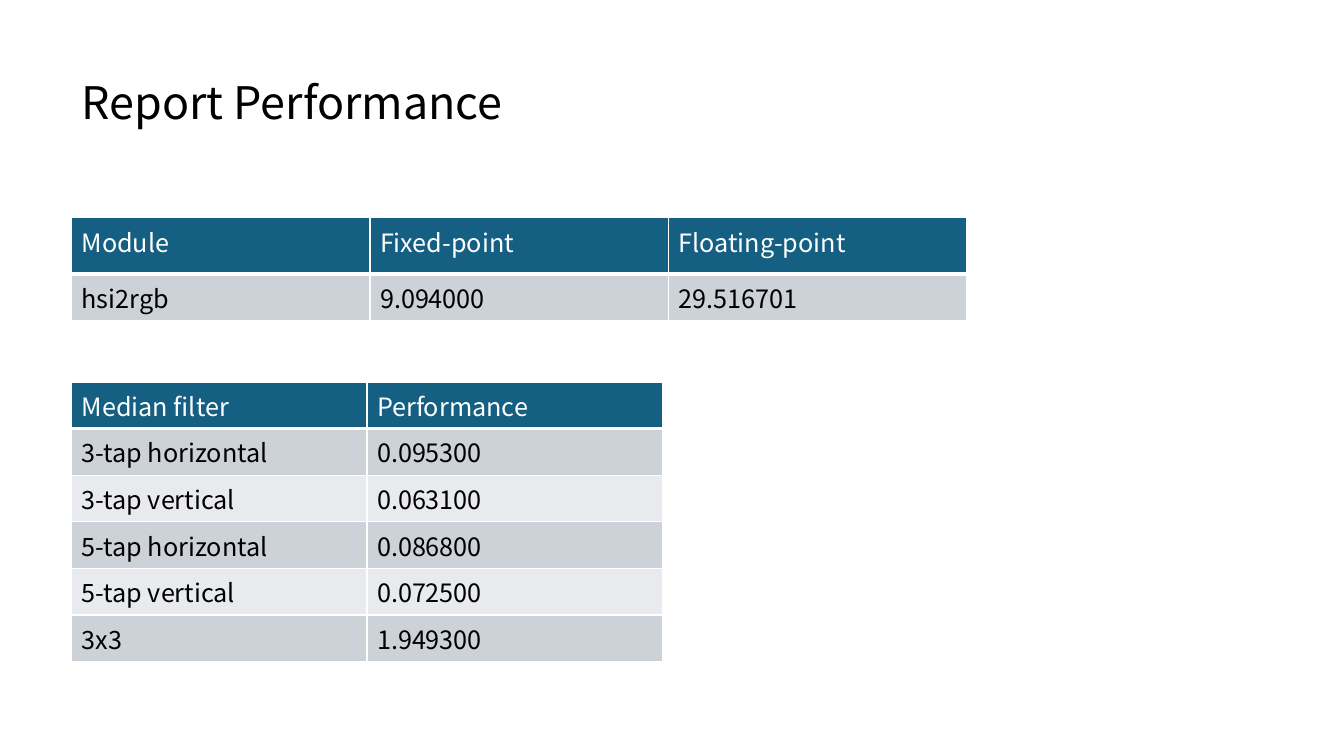
"""Build the Report Performance slide with two result tables."""
from lxml import etree
from pptx import Presentation
from pptx.dml.color import RGBColor
from pptx.enum import text
from pptx.oxml import ns
from pptx.util import Inches, Pt

TITLE = "Report Performance"
MODULE_ROWS = [
    ("Module", "Fixed-point", "Floating-point"),
    ("hsi2rgb", "9.094000", "29.516701"),
]
FILTER_ROWS = [
    ("Median filter", "Performance"),
    ("3-tap horizontal", "0.095300"),
    ("3-tap vertical", "0.063100"),
    ("5-tap horizontal", "0.086800"),
    ("5-tap vertical", "0.072500"),
    ("3x3", "1.949300"),
]

FONT = "Noto Sans CJK KR"
BLACK = RGBColor(0x00, 0x00, 0x00)
WHITE = RGBColor(0xFF, 0xFF, 0xFF)
HEADER_BLUE = RGBColor(0x15, 0x60, 0x82)
BAND_DARK = RGBColor(0xCC, 0xD2, 0xD8)
BAND_LIGHT = RGBColor(0xE8, 0xEA, 0xED)
LEFT = 0.71
ROW_HEIGHT = 0.41


def style_text(text_frame, size, color):
    """Format every run of a text frame."""
    for paragraph in text_frame.paragraphs:
        for run in paragraph.runs:
            run.font.name = FONT
            run.font.size = Pt(size)
            run.font.color.rgb = color
            east_asian = etree.SubElement(run._r.get_or_add_rPr(), ns.qn("a:ea"))
            east_asian.set("typeface", FONT)


def add_borders(cell, bottom_width):
    """Draw white borders around a table cell."""
    properties = cell._tc.get_or_add_tcPr()
    widths = {"L": 1, "R": 1, "T": 1, "B": bottom_width}
    for position, (side, width) in enumerate(widths.items()):
        line = etree.Element(ns.qn(f"a:ln{side}"), w=str(Pt(width)))
        fill = etree.SubElement(line, ns.qn("a:solidFill"))
        etree.SubElement(fill, ns.qn("a:srgbClr"), val=str(WHITE))
        properties.insert(position, line)


def add_result_table(slide, rows, top, column_width, header_height):
    """Add a table with a blue header and banded rows."""
    column_count = len(rows[0])
    height = header_height + ROW_HEIGHT * (len(rows) - 1)
    table = slide.shapes.add_table(
        len(rows), column_count, Inches(LEFT), Inches(top),
        Inches(column_width * column_count), Inches(height)).table
    for column in table.columns:
        column.width = Inches(column_width)
    for row_index, values in enumerate(rows):
        is_header = row_index == 0
        table.rows[row_index].height = Inches(header_height if is_header else ROW_HEIGHT)
        band = BAND_DARK if row_index % 2 else BAND_LIGHT
        for column_index, value in enumerate(values):
            cell = table.cell(row_index, column_index)
            cell.text_frame.text = value
            cell.fill.solid()
            cell.fill.fore_color.rgb = HEADER_BLUE if is_header else band
            style_text(cell.text_frame, 18, WHITE if is_header else BLACK)
            add_borders(cell, 3 if is_header else 1)


def add_title(slide):
    """Place and format the slide title."""
    title = slide.shapes.title
    title.left, title.top = Inches(LEFT), Inches(0.69)
    title.width, title.height = Inches(4.38), Inches(0.64)
    text_frame = title.text_frame
    text_frame.text = TITLE
    text_frame.word_wrap = False
    text_frame.auto_size = text.MSO_AUTO_SIZE.NONE
    text_frame.vertical_anchor = text.MSO_ANCHOR.TOP
    text_frame.paragraphs[0].alignment = text.PP_ALIGN.LEFT
    style_text(text_frame, 32, BLACK)


def main():
    """Create and save the presentation."""
    presentation = Presentation()
    presentation.slide_width = Inches(13.33)
    presentation.slide_height = Inches(7.5)
    slide = presentation.slides.add_slide(presentation.slide_layouts[5])
    add_result_table(slide, FILTER_ROWS, 3.79, 2.93, ROW_HEIGHT)
    add_result_table(slide, MODULE_ROWS, 2.16, 2.96, 0.56)
    add_title(slide)
    presentation.save("out.pptx")


if __name__ == "__main__":
    main()
